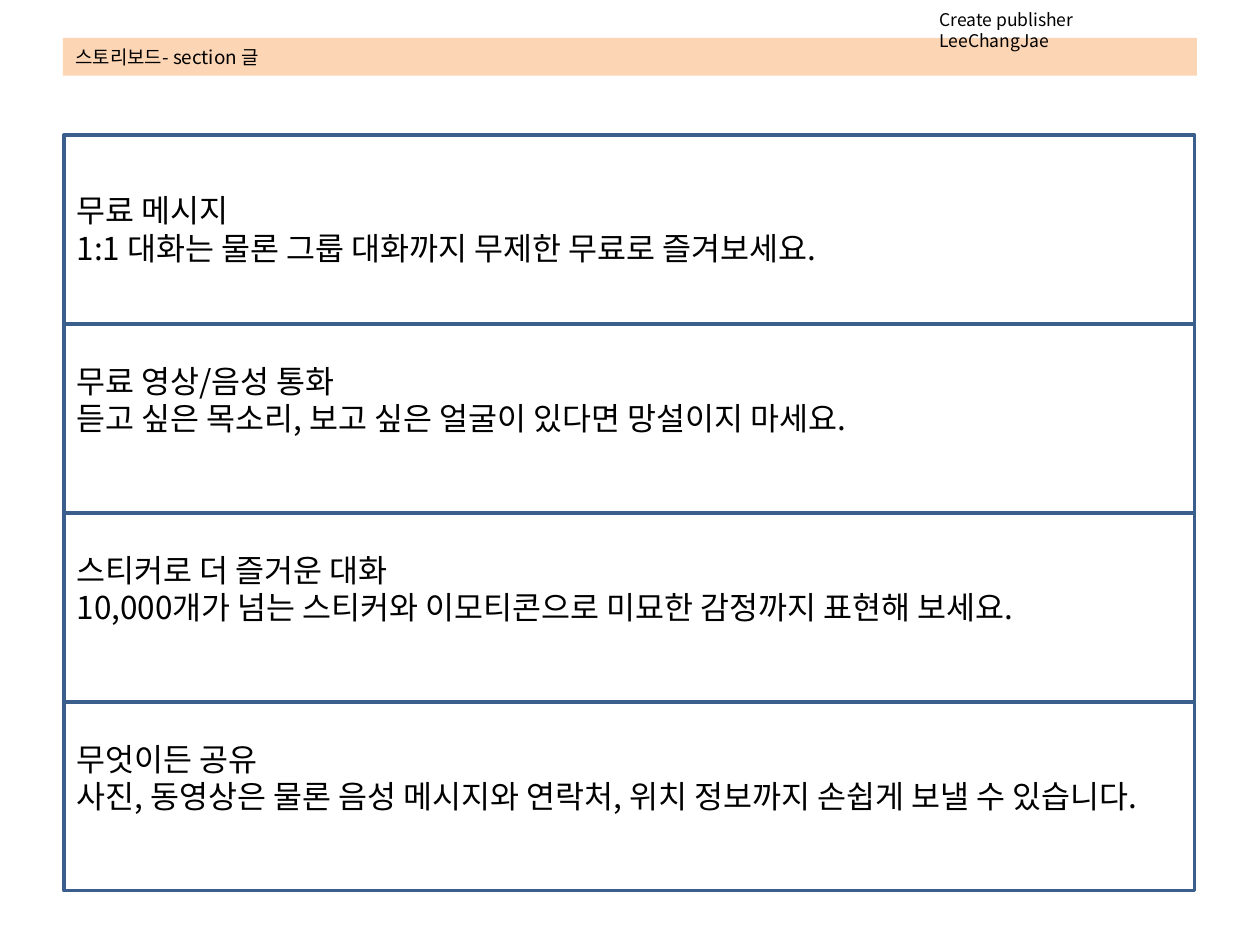
import pptx
import pptx.dml.color
import pptx.enum.shapes
import pptx.enum.text
import pptx.oxml.ns
import pptx.util
import lxml.etree

inches = pptx.util.Inches
FONT = "Noto Sans CJK KR"
LINE_HEIGHT = 0.3


def color(hex_value):
    return pptx.dml.color.RGBColor.from_string(hex_value)


def write(shape, lines, size, anchor):
    """Fill the shape with left-aligned black paragraphs."""
    frame = shape.text_frame
    frame.word_wrap = True
    frame.vertical_anchor = anchor
    frame.text = "\n".join(lines)
    for paragraph in frame.paragraphs:
        paragraph.alignment = pptx.enum.text.PP_ALIGN.LEFT
        font = paragraph.font
        font.size = pptx.util.Pt(size)
        font.color.rgb = color("000000")
        font.name = FONT
        # Korean glyphs take the East Asian typeface
        properties = paragraph._p.pPr.find(pptx.oxml.ns.qn("a:defRPr"))
        lxml.etree.SubElement(properties, pptx.oxml.ns.qn("a:ea"), typeface=FONT)


deck = pptx.Presentation()
deck.slide_width, deck.slide_height = inches(10), inches(7.5)
slide = deck.slides.add_slide(deck.slide_layouts[6])
rectangle = pptx.enum.shapes.MSO_SHAPE.RECTANGLE
middle = pptx.enum.text.MSO_ANCHOR.MIDDLE

heading = slide.shapes.add_shape(
    rectangle, inches(0.5), inches(0.3), inches(9), inches(0.3))
heading.shadow.inherit = False
heading.fill.solid()
heading.fill.fore_color.rgb = color("FCD5B5")
heading.line.fill.background()
write(heading, ["스토리보드- section 글"], 10.8, middle)

publisher = slide.shapes.add_textbox(
    inches(7.36), inches(0.02), inches(2.12), inches(0.27))
write(publisher, ["Create publisher LeeChangJae"], 10,
      pptx.enum.text.MSO_ANCHOR.TOP)

# Each section: title, description, lines of space kept below the text
sections = [
    ("무료 메시지",
     "1:1 대화는 물론 그룹 대화까지 무제한 무료로 즐겨보세요.", 0),
    ("무료 영상/음성 통화",
     "듣고 싶은 목소리, 보고 싶은 얼굴이 있다면 망설이지 마세요.", 1),
    ("스티커로 더 즐거운 대화",
     "10,000개가 넘는 스티커와 이모티콘으로 미묘한 감정까지 표현해 보세요.", 1),
    ("무엇이든 공유",
     "사진, 동영상은 물론 음성 메시지와 연락처, 위치 정보까지 손쉽게 보낼 수 있습니다.", 1),
]
sections_top, row_height = 1.07, 1.5
for row, (title, description, lines_below) in enumerate(sections):
    section = slide.shapes.add_shape(
        rectangle, inches(0.51), inches(sections_top + row * row_height),
        inches(8.97), inches(row_height))
    section.shadow.inherit = False
    section.fill.solid()
    section.fill.fore_color.rgb = color("FFFFFF")
    section.line.color.rgb = color("3A5F8C")
    section.line.width = pptx.util.Pt(2)
    write(section, [title, description], 18, middle)
    section.text_frame.margin_bottom = inches(0.05 + lines_below * LINE_HEIGHT)

deck.save("out.pptx")
